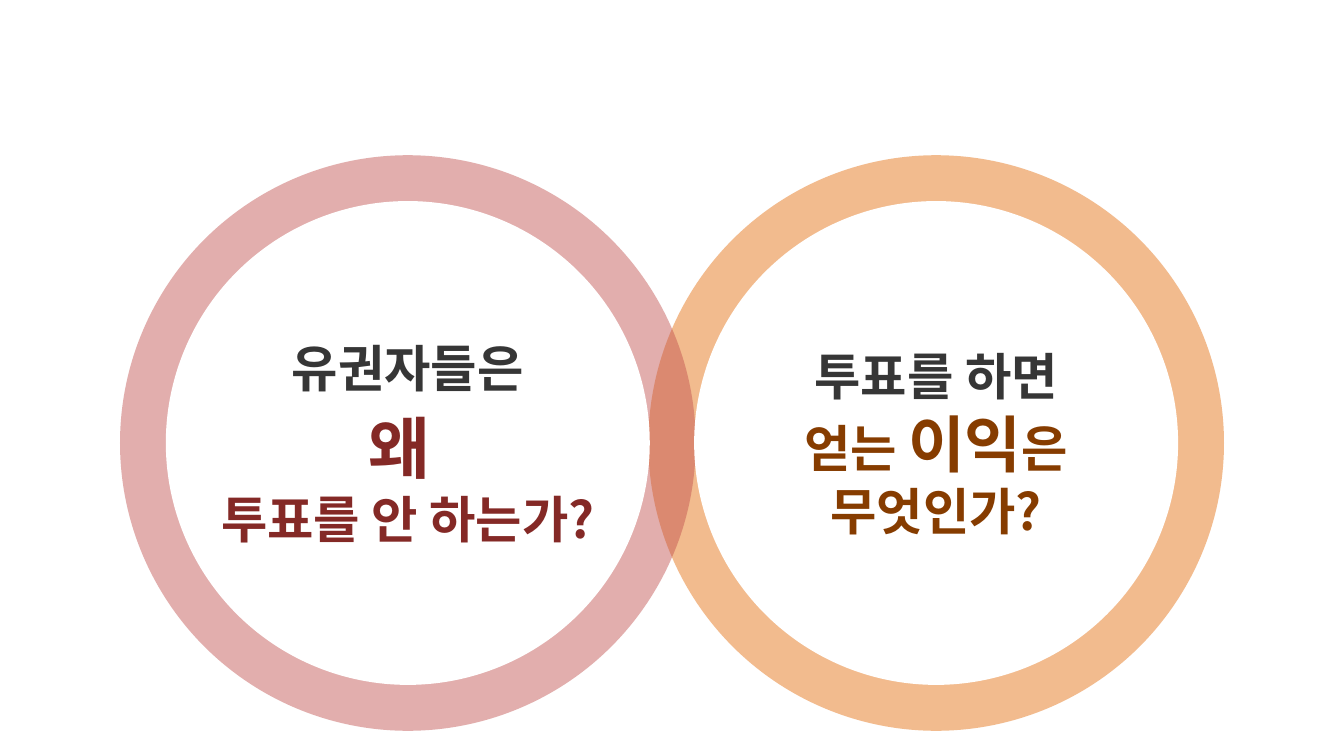
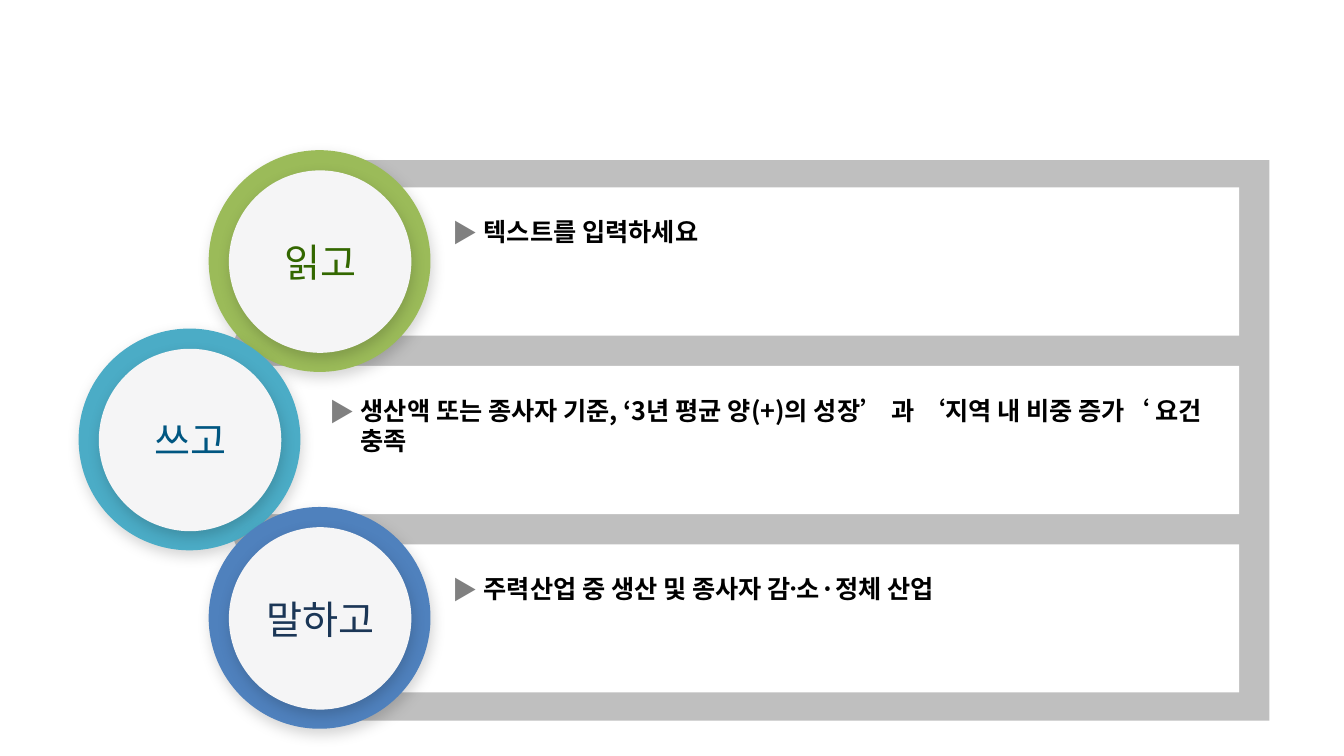
from lxml import etree
from pptx import Presentation
from pptx.dml.color import RGBColor
from pptx.enum import shapes, text
from pptx.oxml.ns import qn
from pptx.util import Inches, Pt

FONT = "Noto Sans CJK KR"
MSO = shapes.MSO_SHAPE
COLORS = {
    "white": "FFFFFF", "black": "000000", "dark": "363636",
    "red": "C0504D", "red_text": "842926",
    "orange": "E46C0A", "orange_text": "863C00",
    "band": "BFBFBF", "disc": "F5F5F6", "bullet": "808080",
    "green": "9BBB59", "green_text": "336700",
    "teal": "4BACC6", "teal_text": "005681",
    "blue": "4F81BD", "blue_text": "1B3656",
}


def sub(parent, tag, **attrs):
    return etree.SubElement(parent, qn(tag), {k: str(v) for k, v in attrs.items()})


def add_shape(s, kind, x, y, w, h, color, alpha=None):
    sp = s.shapes.add_shape(kind, Inches(x), Inches(y), Inches(w), Inches(h))
    sp.shadow.inherit = False
    sp.line.fill.background()
    sp.fill.solid()
    sp.fill.fore_color.rgb = RGBColor.from_string(COLORS[color])
    if alpha is not None:
        clr = sp._element.spPr.find(qn("a:solidFill"))[0]
        sub(clr, "a:alpha", val=alpha * 1000)
    return sp


def add_circle(s, x, y, d, color, alpha=None):
    return add_shape(s, MSO.OVAL, x, y, d, d, color, alpha)


def add_soft_shadow(sp):
    effects = sp._element.spPr.find(qn("a:effectLst"))
    shadow = sub(effects, "a:outerShdw", blurRad=Pt(10), dist=Pt(4),
                 dir=74 * 60000, algn="ctr", rotWithShape=0)
    sub(sub(shadow, "a:srgbClr", val=COLORS["black"]), "a:alpha", val=17000)


def add_run(p, words, size, color, bold=False):
    r = p.add_run()
    r.text = words
    r.font.size, r.font.bold, r.font.name = Pt(size), bold, FONT
    r.font.color.rgb = RGBColor.from_string(COLORS[color])
    sub(r._r.get_or_add_rPr(), "a:ea", typeface=FONT)


def write_centred(sp, lines, bold=False):
    """Each line is a list of (words, size, colour) runs."""
    tf = sp.text_frame
    tf.word_wrap = False
    tf.vertical_anchor = text.MSO_ANCHOR.MIDDLE
    for i, line in enumerate(lines):
        p = tf.paragraphs[0] if i == 0 else tf.add_paragraph()
        p.alignment = text.PP_ALIGN.CENTER
        for words, size, color in line:
            add_run(p, words, size, color, bold)


def add_bullet_text(s, x, y, w, h, words):
    tf = s.shapes.add_textbox(Inches(x), Inches(y), Inches(w), Inches(h)).text_frame
    tf.word_wrap = True
    p = tf.paragraphs[0]
    p.space_before = Pt(6)
    pPr = p._p.get_or_add_pPr()
    pPr.set("marL", str(Inches(0.31)))
    pPr.set("indent", str(Inches(-0.31)))
    sub(sub(pPr, "a:buClr"), "a:srgbClr", val=COLORS["bullet"])
    sub(pPr, "a:buFont", typeface=FONT)
    sub(pPr, "a:buChar", char="▶")
    add_run(p, words, 18, "black", bold=True)


def build_questions(s):
    # Two overlapping translucent rings
    left, right, top, ring, disc = 1.19, 6.43, 1.54, 5.71, 4.8
    inset = (ring - disc) / 2
    add_circle(s, right, top, ring, "orange", alpha=46)
    add_circle(s, left, top, ring, "red", alpha=46)
    # White centres holding the questions
    questions = [
        (left, [[("유권자들은", 36, "dark")],
                [("왜", 48, "red_text"), (" ", 54, "red_text")],
                [("투표를 안 하는가?", 36, "red_text")]]),
        (right, [[("투표를 하면", 36, "dark")],
                 [("얻는 ", 36, "orange_text"), ("이익", 44, "orange_text"),
                  ("은", 36, "orange_text")],
                 [("무엇인가?", 36, "orange_text")]]),
    ]
    for x, lines in questions:
        centre = add_circle(s, x + inset, top + inset, disc, "white")
        write_centred(centre, lines, bold=True)


def build_steps(s):
    # Grey band pointing left
    band = add_shape(s, MSO.PENTAGON, 1.88, 1.59, 10.71, 5.56, "band")
    band.adjustments[0] = 0.222
    band._element.spPr.find(qn("a:xfrm")).set("flipH", "1")

    # Ring left, row left, text left, text height, colour, label, words
    steps = [
        (2.07, 3.17, 4.39, 0.4, "green", "읽고", "텍스트를 입력하세요"),
        (0.78, 1.88, 3.17, 0.71, "teal", "쓰고",
         "생산액 또는 종사자 기준, ‘3년 평균 양(+)의 성장’ 과 ‘지역 내 비중 증가‘ 요건 충족"),
        (2.07, 3.17, 4.39, 0.4, "blue", "말하고",
         "주력산업 중 생산 및 종사자 감소〮·정체 산업"),
    ]
    row_right, pitch = 12.29, 1.77
    # White rows with bulleted text
    for i, (_, row_x, text_x, text_h, _, _, words) in enumerate(steps):
        y = 1.86 + i * pitch
        add_shape(s, MSO.RECTANGLE, row_x, y, row_right - row_x, 1.47, "white")
        add_bullet_text(s, text_x, y + 0.24, row_right - text_x, text_h, words)
    # Labelled rings on top
    for i, (ring_x, _, _, _, color, label, _) in enumerate(steps):
        y = 1.49 + i * pitch
        ring = add_circle(s, ring_x, y, 2.2, color)
        disc = add_circle(s, ring_x + 0.2, y + 0.2, 1.81, "disc")
        for sp in (ring, disc):
            add_soft_shadow(sp)
        write_centred(disc, [[(label, 28, color + "_text")]])


def main():
    prs = Presentation()
    prs.slide_width, prs.slide_height = Inches(13.33), Inches(7.5)
    for build in (build_questions, build_steps):
        build(prs.slides.add_slide(prs.slide_layouts[6]))
    prs.save("out.pptx")


if __name__ == "__main__":
    main()
